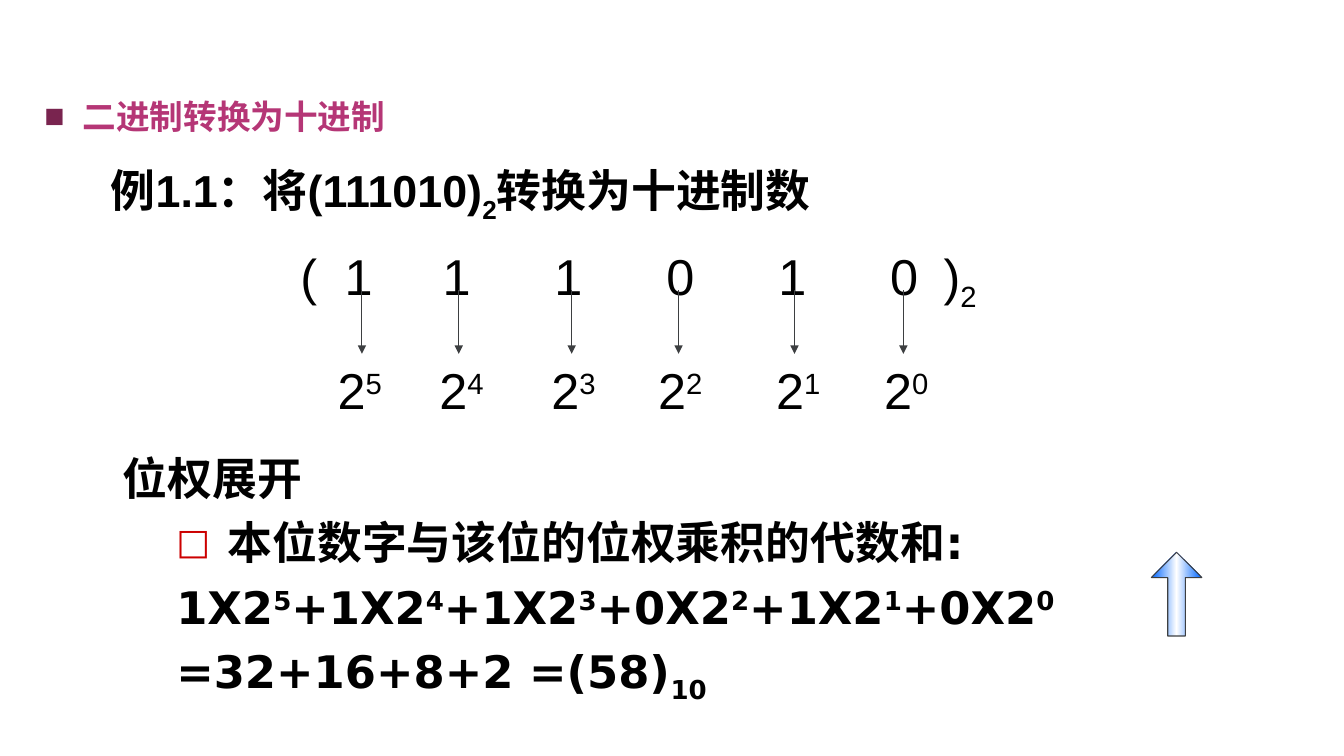
from dataclasses import dataclass

from lxml import etree
from pptx import Presentation
from pptx.dml.color import RGBColor
from pptx.enum.shapes import MSO_CONNECTOR, MSO_SHAPE
from pptx.enum.text import MSO_ANCHOR, MSO_AUTO_SIZE, PP_ALIGN
from pptx.oxml import parse_xml
from pptx.oxml.ns import nsdecls, qn
from pptx.util import Inches, Pt


@dataclass(frozen=True)
class Theme:
    sans: str = "Arial"
    wide: str = "DejaVu Sans"
    heading: str = "B53676"
    heading_mark: str = "79244F"
    point_mark: str = "CC0000"
    ink: str = "000000"
    line: str = "3D3F41"
    arrow_edge: str = "0066FF"
    arrow_middle: str = "FFFFFF"
    heading_size: int = 24
    text_size: int = 32
    digit_size: int = 36
    line_width: float = 0.75


THEME = Theme()
SUBSCRIPT, SUPERSCRIPT = -25, 30

BITS = "111010"
DIGIT_CENTERS = [3.56, 4.53, 5.64, 6.75, 7.86, 8.97]
ARROW_LEFTS = [3.59, 4.55, 5.67, 6.73, 7.88, 8.96]
POWER_LEFTS = [3.25, 4.26, 5.37, 6.43, 7.6, 8.67]
ROW_LEFT, ROW_INSET, CLOSING_LEFT = 2.88, 0.1, 9.36

HEADING = dict(name=THEME.sans, size=Pt(THEME.heading_size), bold=True)
EXAMPLE = dict(name=THEME.sans, size=Pt(THEME.text_size), bold=True)
DIGITS = dict(name=THEME.sans, size=Pt(THEME.digit_size), bold=False)
EXPANSION = dict(name=THEME.wide, size=Pt(THEME.text_size), bold=True)


def add_spans(para, spans, font_format, color=THEME.ink):
    """Add (text, baseline percent) pairs as runs."""
    for text, baseline in spans:
        span = para.add_run()
        span.text = text
        for name, value in font_format.items():
            setattr(span.font, name, value)
        span.font.color.rgb = RGBColor.from_string(color)
        if baseline:
            span.font._element.set("baseline", str(baseline * 1000))


def add_text(page, place, wrap=True):
    """Add an empty text box and return its frame."""
    box = page.shapes.add_textbox(*map(Inches, place))
    box.text_frame.word_wrap = wrap
    return box.text_frame


def set_hanging(para, indent):
    properties = para._p.get_or_add_pPr()
    properties.set("marL", str(Inches(indent)))
    properties.set("indent", str(-Inches(indent)))


def add_bullet(para, mark, color, font, percent):
    properties = para._p.get_or_add_pPr()
    shade = etree.SubElement(properties, qn("a:buClr"))
    etree.SubElement(shade, qn("a:srgbClr"), val=color)
    etree.SubElement(properties, qn("a:buSzPct"), val=str(percent * 1000))
    etree.SubElement(properties, qn("a:buFont"), typeface=font)
    etree.SubElement(properties, qn("a:buChar"), char=mark)


def add_tabs(para, stops):
    """Add (position in inches, alignment) tab stops."""
    tabs = etree.SubElement(para._p.get_or_add_pPr(), qn("a:tabLst"))
    for position, align in stops:
        etree.SubElement(tabs, qn("a:tab"), pos=str(Inches(position)), algn=align)


def add_heading(page, text):
    title = page.shapes.title
    place = dict(left=0.34, top=0.7, width=7.47, height=0.79)
    for name, value in place.items():
        setattr(title, name, Inches(value))
    frame = title.text_frame
    frame_format = dict(vertical_anchor=MSO_ANCHOR.TOP, word_wrap=True,
                        auto_size=MSO_AUTO_SIZE.NONE)
    for name, value in frame_format.items():
        setattr(frame, name, value)
    para = frame.paragraphs[0]
    set_hanging(para, 0.38)
    add_bullet(para, "■", THEME.heading_mark, THEME.sans, 100)
    para.alignment = PP_ALIGN.LEFT
    para.line_spacing = 1.5
    add_spans(para, [(text, 0)], HEADING, THEME.heading)


def add_digit_row(page):
    para = add_text(page, (ROW_LEFT, 2.38, 6.97, 0.71)).paragraphs[0]
    start = ROW_LEFT + ROW_INSET
    stops = [(center - start, "ctr") for center in DIGIT_CENTERS]
    add_tabs(para, stops + [(CLOSING_LEFT - start, "l")])
    row = "\t".join(["(", *BITS, ")"])
    add_spans(para, [(row, 0), ("2", SUBSCRIPT)], DIGITS)


def add_down_arrow(page, left):
    arrow = page.shapes.add_connector(
        MSO_CONNECTOR.STRAIGHT, Inches(left), Inches(2.88), Inches(left), Inches(3.51))
    arrow.line.width = Pt(THEME.line_width)
    arrow.line.color.rgb = RGBColor.from_string(THEME.line)
    etree.SubElement(arrow.line._get_or_add_ln(), qn("a:tailEnd"), type="triangle")
    etree.SubElement(arrow._element.spPr, qn("a:effectLst"))


def add_power(page, left, exponent):
    frame = add_text(page, (left, 3.51, 0.66, 0.71), wrap=False)
    add_spans(frame.paragraphs[0], [("2", 0), (str(exponent), SUPERSCRIPT)], DIGITS)


def add_expansion(page):
    products = []
    for place, bit in enumerate(BITS):
        sign = "+" if place else ""
        products += [(f"{sign}{bit}X2", 0), (str(len(BITS) - 1 - place), SUPERSCRIPT)]
    lines = [
        [("本位数字与该位的位权乘积的代数和:", 0)],
        products,
        [("=32+16+8+2 =(58)", 0), ("10", SUBSCRIPT)],
    ]
    frame = add_text(page, (1.65, 5.06, 9.45, 1.67))
    for number, spans in enumerate(lines):
        para = frame.add_paragraph() if number else frame.paragraphs[0]
        set_hanging(para, 0.51)
        if number:
            para.space_before = Pt(7.5)
        else:
            add_bullet(para, "□", THEME.point_mark, THEME.wide, 80)
        add_spans(para, spans, EXPANSION)


def add_up_arrow(page):
    arrow = page.shapes.add_shape(
        MSO_SHAPE.UP_ARROW, *map(Inches, (11.42, 5.48, 0.5, 0.83)))
    arrow.adjustments[0], arrow.adjustments[1] = 0.35, 0.5
    arrow.shadow.inherit = False
    arrow.line.width = Pt(THEME.line_width)
    arrow.line.color.rgb = RGBColor.from_string(THEME.line)
    shades = [(0, THEME.arrow_edge), (50, THEME.arrow_middle), (100, THEME.arrow_edge)]
    stops = "".join(
        f'<a:gs pos="{position * 1000}"><a:srgbClr val="{color}"/></a:gs>'
        for position, color in shades)
    gradient = parse_xml(
        f'<a:gradFill {nsdecls("a")} rotWithShape="1"><a:gsLst>{stops}</a:gsLst>'
        '<a:lin ang="0" scaled="1"/></a:gradFill>')
    arrow._element.spPr.find(qn("a:prstGeom")).addnext(gradient)


def main():
    deck = Presentation()
    deck.slide_width, deck.slide_height = Inches(13.33), Inches(7.5)
    page = deck.slides.add_slide(deck.slide_layouts[5])

    # Heading and example
    add_heading(page, "二进制转换为十进制")
    example = add_text(page, (1, 1.57, 8.22, 0.64))
    add_spans(example.paragraphs[0],
              [("例1.1：将(111010)", 0), ("2", SUBSCRIPT), ("转换为十进制数", 0)], EXAMPLE)

    # Digits and their place values
    add_digit_row(page)
    for place, (arrow_left, power_left) in enumerate(zip(ARROW_LEFTS, POWER_LEFTS)):
        add_down_arrow(page, arrow_left)
        add_power(page, power_left, len(BITS) - 1 - place)

    # Expansion by place value
    label = add_text(page, (1.12, 4.42, 1.99, 0.64), wrap=False)
    add_spans(label.paragraphs[0], [("位权展开", 0)], EXPANSION)
    add_expansion(page)
    add_up_arrow(page)

    deck.save("out.pptx")


if __name__ == "__main__":
    main()
